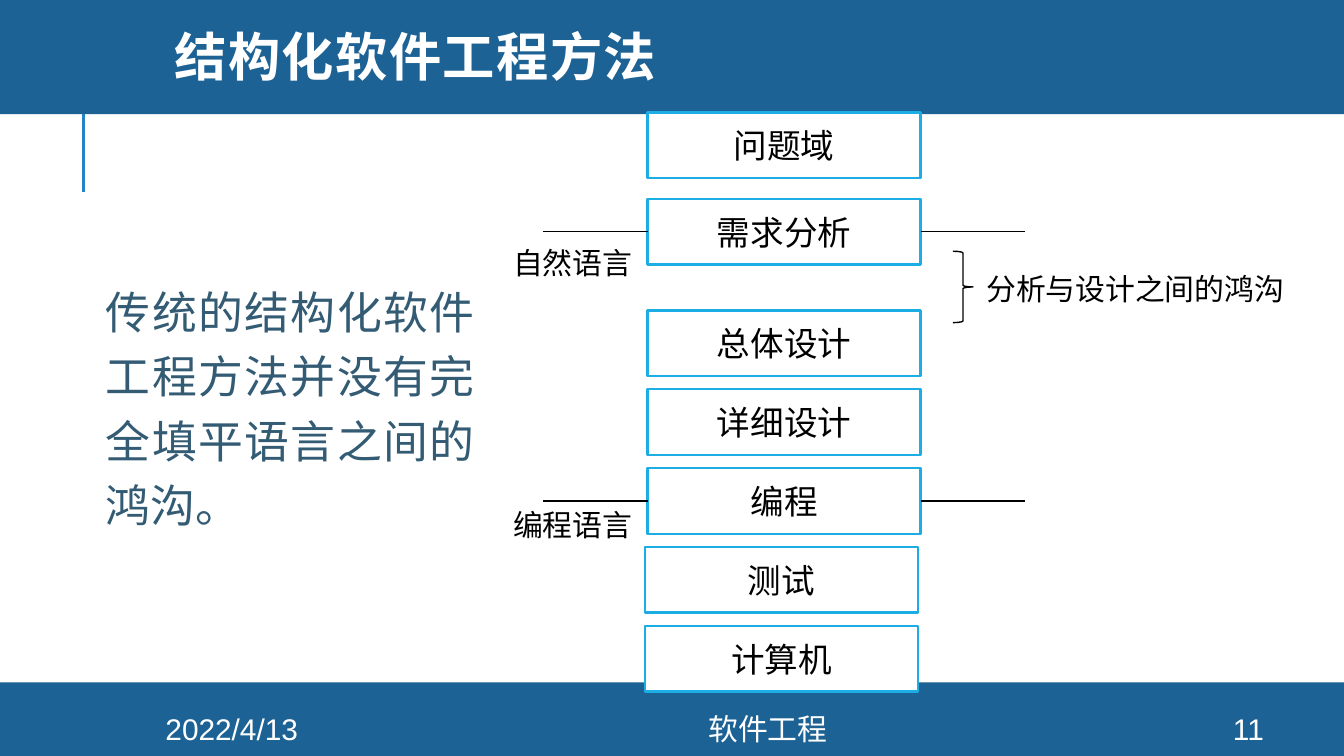
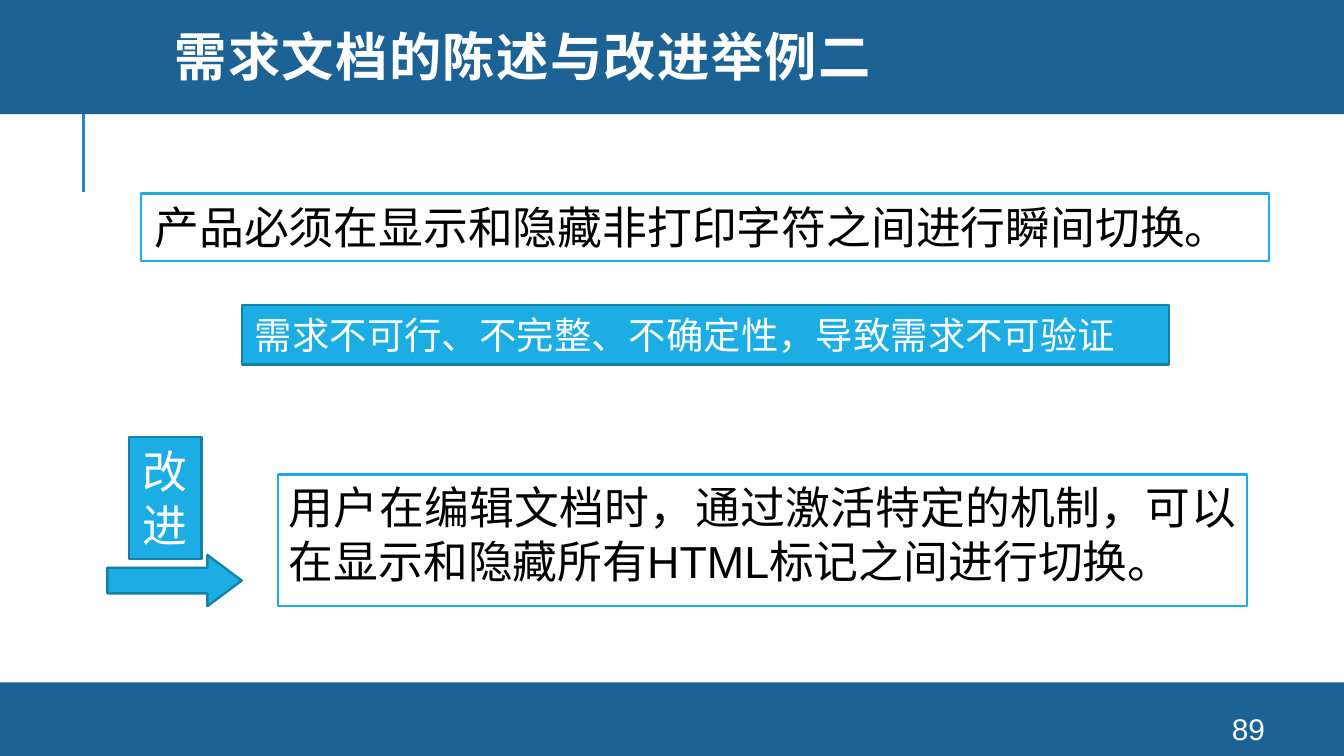
from lxml import etree
from pptx import Presentation
from pptx import util as u
from pptx.dml.color import RGBColor
from pptx.enum import shapes, text
from pptx.oxml import ns

NAVY = RGBColor(0x1D, 0x62, 0x94)
RULE_BLUE = RGBColor(0x26, 0x83, 0xC6)
CYAN = RGBColor(0x1C, 0xAD, 0xE4)
DARK_CYAN = RGBColor(0x15, 0x80, 0xA9)
SLATE = RGBColor(0x33, 0x5B, 0x74)
BLACK = RGBColor(0, 0, 0)
WHITE = RGBColor(0xFF, 0xFF, 0xFF)

SHAPE = shapes.MSO_SHAPE
ALIGN = text.PP_ALIGN
ANCHOR = text.MSO_ANCHOR

WIDTH, HEIGHT = 25.4, 14.29
STAGE_LEFT, STAGE_WIDTH, STAGE_HEIGHT = 12.24, 5.16, 1.24
DESIGN_TOP, STAGE_PITCH = 5.87, 1.49
BRANCH_LENGTH = 1.97
TOP, LEFT, BOTTOM, RIGHT = range(4)


def box(left, top, width, height):
    return [u.Cm(length) for length in (left, top, width, height)]


def write(shape, content, size, color, align=ALIGN.LEFT, anchor=ANCHOR.TOP, font="Arial",
          bold=False, spacing=None, before=None, wrap=True, grow=False, insets=None):
    frame = shape.text_frame
    frame.word_wrap = wrap
    frame.vertical_anchor = anchor
    frame.auto_size = text.MSO_AUTO_SIZE.SHAPE_TO_FIT_TEXT if grow else text.MSO_AUTO_SIZE.NONE
    if insets:
        frame.margin_left = frame.margin_right = u.Cm(insets[0])
        frame.margin_top = frame.margin_bottom = u.Cm(insets[1])
    frame.text = content
    for paragraph in frame.paragraphs:
        paragraph.alignment = align
        paragraph.line_spacing = spacing
        if before:
            paragraph.space_before = u.Pt(before)
        paragraph.font.name = font
        paragraph.font.size = u.Pt(size)
        paragraph.font.bold = bold
        paragraph.font.color.rgb = color


def add_text(slide, bounds, content, size, color, **style):
    shape = slide.shapes.add_textbox(*box(*bounds))
    write(shape, content, size, color, **style)
    return shape


def add_shape(slide, kind, bounds, fill=None, line=None, weight=1.25):
    shape = slide.shapes.add_shape(kind, *box(*bounds))
    shape.shadow.inherit = False
    if fill is None:
        shape.fill.background()
    else:
        shape.fill.solid()
        shape.fill.fore_color.rgb = fill
    if line is None:
        shape.line.fill.background()
    else:
        shape.line.color.rgb = line
        shape.line.width = u.Pt(weight)
    return shape


def add_line(slide, start, end, color, weight):
    points = [u.Cm(length) for length in (*start, *end)]
    line = slide.shapes.add_connector(shapes.MSO_CONNECTOR.STRAIGHT, *points)
    line.line.color.rgb = color
    line.line.width = u.Pt(weight)
    etree.SubElement(line._element.spPr, ns.qn("a:effectLst"))
    return line


def add_footer(slide, left, width, content):
    add_text(slide, (left, 13.49, width, 0.58), content, 16, WHITE,
             align=ALIGN.CENTER, anchor=ANCHOR.MIDDLE)


def add_base(presentation, title, number):
    slide = presentation.slides.add_slide(presentation.slide_layouts[6])
    add_line(slide, (1.58, 3.63), (1.58, 1.73), RULE_BLUE, 1.5)
    add_shape(slide, SHAPE.RECTANGLE, (0, 12.9, WIDTH, 1.39), NAVY)
    add_shape(slide, SHAPE.RECTANGLE, (0, -0.08, WIDTH, 2.24), NAVY)
    heading = add_text(slide, (3.05, 0, 21.56, 2.31), title, 28, WHITE, font="Montserrat",
                       bold=True, spacing=0.8, anchor=ANCHOR.MIDDLE)
    heading.text_frame.paragraphs[0].runs[0]._r.get_or_add_rPr().set("spc", "80")
    add_footer(slide, 22.58, 2.03, number)
    return slide


def add_stage(slide, left, top, name):
    stage = add_shape(slide, SHAPE.RECTANGLE, (left, top, STAGE_WIDTH, STAGE_HEIGHT), WHITE, CYAN)
    write(stage, name, 18, BLACK, align=ALIGN.CENTER, anchor=ANCHOR.MIDDLE, insets=(0.18, 0.1))
    return stage


def add_branches(slide, stage):
    middle = (stage.top + stage.height / 2) / u.Cm(1)
    left = stage.left / u.Cm(1)
    right = left + STAGE_WIDTH
    incoming = add_line(slide, (left - BRANCH_LENGTH, middle), (left, middle), BLACK, 0.75)
    incoming.end_connect(stage, LEFT)
    outgoing = add_line(slide, (right, middle), (right + BRANCH_LENGTH, middle), BLACK, 0.75)
    outgoing.begin_connect(stage, RIGHT)


def add_label(slide, bounds, content):
    add_text(slide, bounds, content, 16, BLACK, wrap=False, grow=True)


def build_method_slide(presentation):
    slide = add_base(presentation, "结构化软件工程方法", "11")
    add_stage(slide, STAGE_LEFT, 2.13, "问题域")
    analysis = add_stage(slide, STAGE_LEFT, 3.76, "需求分析")
    later = {}
    for index, name in enumerate(["总体设计", "详细设计", "编程", "测试", "计算机"]):
        left = STAGE_LEFT if index < 3 else STAGE_LEFT - 0.05
        later[name] = add_stage(slide, left, DESIGN_TOP + index * STAGE_PITCH, name)
    add_branches(slide, analysis)
    add_branches(slide, later["编程"])
    add_label(slide, (9.45, 4.5, 2.79, 0.94), "自然语言")
    add_label(slide, (9.45, 9.45, 2.79, 0.94), "编程语言")
    add_shape(slide, SHAPE.RIGHT_BRACE, (18.01, 4.75, 0.38, 1.35), line=BLACK, weight=0.75)
    add_label(slide, (18.39, 5, 6.22, 0.94), "分析与设计之间的鸿沟")
    add_text(slide, (1.75, 5.05, 7.47, 5.08),
             "传统的结构化软件工程方法并没有完全填平语言之间的鸿沟。",
             24, SLATE, align=ALIGN.JUSTIFY, spacing=1.2, grow=True)
    add_footer(slide, 2.13, 4.5, "2022/4/13")
    add_footer(slide, 6.63, 15.77, "软件工程")


def build_example_slide(presentation):
    slide = add_base(presentation, "需求文档的陈述与改进举例二", "89")
    statement = add_shape(slide, SHAPE.RECTANGLE, (2.67, 3.66, 21.31, 1.27), WHITE, CYAN)
    write(statement, "产品必须在显示和隐藏非打印字符之间进行瞬间切换。", 24, BLACK,
          align=ALIGN.JUSTIFY, before=9, grow=True)
    verdict = add_shape(slide, SHAPE.RECTANGLE, (4.57, 5.77, 17.53, 1.12), CYAN, DARK_CYAN)
    write(verdict, "需求不可行、不完整、不确定性，导致需求不可验证", 20, WHITE, grow=True)
    arrow = add_shape(slide, SHAPE.RIGHT_ARROW, (2.03, 10.49, 2.54, 0.97), CYAN, DARK_CYAN)
    arrow.adjustments[1] = 0.67
    improve = add_shape(slide, SHAPE.RECTANGLE, (2.44, 8.26, 1.37, 2.31), CYAN, DARK_CYAN)
    write(improve, "改\n进", 24, WHITE, wrap=False, grow=True)
    improved = add_shape(slide, SHAPE.RECTANGLE, (5.26, 8.97, 18.31, 2.49), WHITE, CYAN)
    write(improved, "用户在编辑文档时，通过激活特定的机制，可以在显示和隐藏所有HTML标记之间进行切换。",
          24, BLACK, align=ALIGN.JUSTIFY, before=4.5, insets=(0.2, 0.1))


def main():
    presentation = Presentation()
    presentation.slide_width = u.Cm(WIDTH)
    presentation.slide_height = u.Cm(HEIGHT)
    build_method_slide(presentation)
    build_example_slide(presentation)
    presentation.save("out.pptx")


if __name__ == "__main__":
    main()
